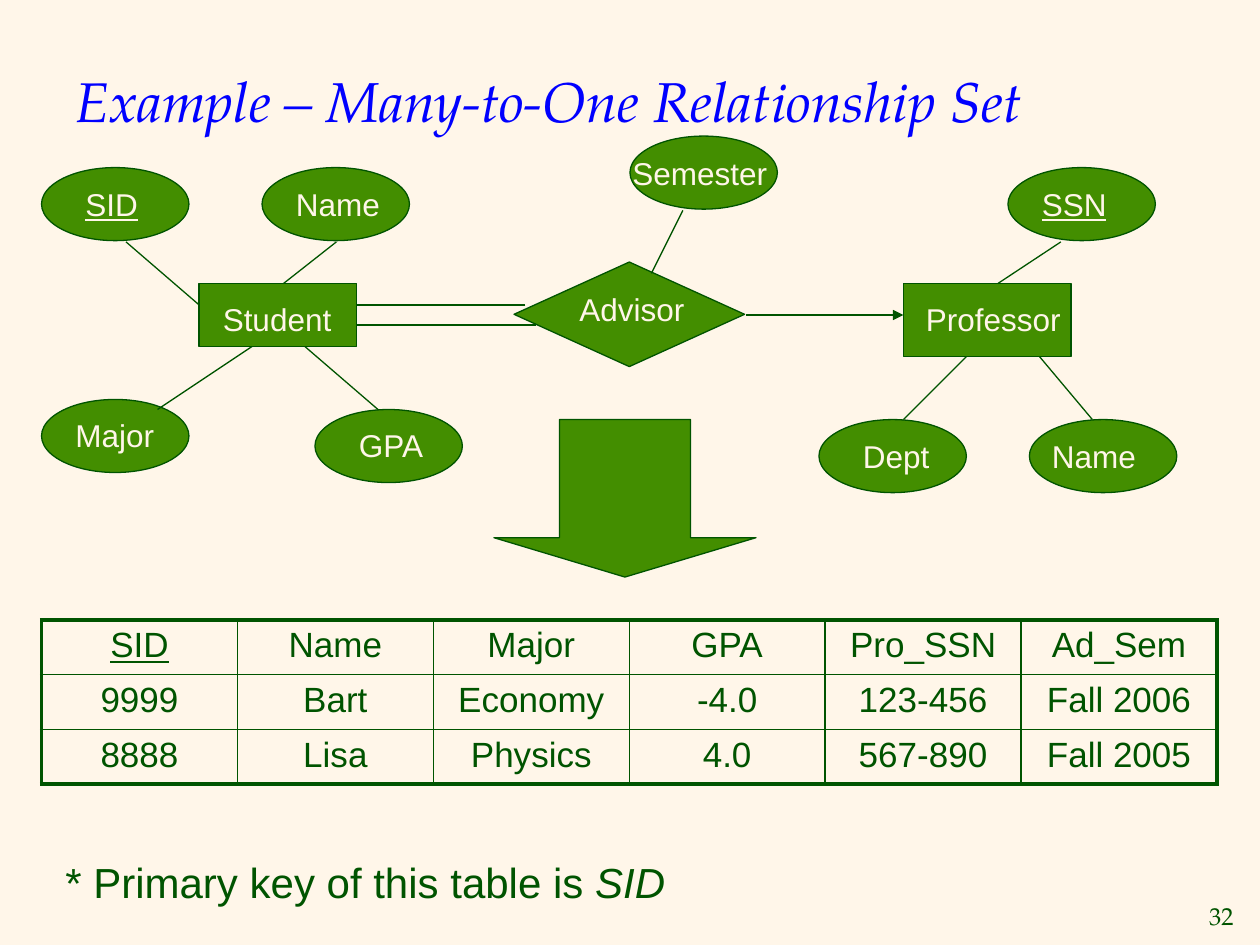
"""Build a slide that maps a many-to-one relationship set to a table."""
from dataclasses import dataclass

from lxml import etree
from pptx import Presentation
from pptx.dml.color import RGBColor
from pptx.enum.shapes import MSO_CONNECTOR, MSO_SHAPE
from pptx.enum.text import MSO_ANCHOR, PP_ALIGN
from pptx.oxml.ns import qn
from pptx.util import Inches, Pt

RECT, OVAL = MSO_SHAPE.RECTANGLE, MSO_SHAPE.OVAL
DIAMOND, DOWN_ARROW = MSO_SHAPE.FLOWCHART_DECISION, MSO_SHAPE.DOWN_ARROW
STRAIGHT = MSO_CONNECTOR.STRAIGHT
LEFT, CENTER, RIGHT = PP_ALIGN.LEFT, PP_ALIGN.CENTER, PP_ALIGN.RIGHT
MIDDLE = MSO_ANCHOR.MIDDLE


@dataclass(frozen=True)
class Theme:
    cream: RGBColor = RGBColor.from_string("FFF6E9")
    green: RGBColor = RGBColor.from_string("438E00")
    dark: RGBColor = RGBColor.from_string("005400")
    blue: RGBColor = RGBColor.from_string("0000FF")
    serif: str = "TeX Gyre Pagella"
    sans: str = "Arial"
    title: Pt = Pt(32)
    note: Pt = Pt(24)
    cell: Pt = Pt(20)
    label: Pt = Pt(18)
    number: Pt = Pt(14)
    line: Pt = Pt(0.75)
    inner: Pt = Pt(1)
    outer: Pt = Pt(2.25)


theme = Theme()


def add_run(p, text, size, color, font=theme.sans, underline=False, italic=False):
    r = p.add_run()
    r.text = text
    r.font.name, r.font.size = font, size
    r.font.color.rgb = color
    r.font.underline, r.font.italic = underline, italic


def add_box(x, y, w, h, align=LEFT):
    tf = s.shapes.add_textbox(Inches(x), Inches(y), Inches(w), Inches(h)).text_frame
    tf.word_wrap = True
    tf.paragraphs[0].alignment = align
    return tf


prs = Presentation()
prs.slide_width, prs.slide_height = Inches(10), Inches(7.5)
s = prs.slides.add_slide(prs.slide_layouts[5])
s.background.fill.solid()
s.background.fill.fore_color.rgb = theme.cream

title = s.shapes.title
title.left, title.top = Inches(0.5), Inches(0.17)
title.width, title.height = Inches(9), Inches(1.25)
tf = title.text_frame
tf.vertical_anchor = MIDDLE
p = tf.paragraphs[0]
p.alignment = LEFT
add_run(p, "Example – Many-to-One Relationship Set", theme.title, theme.blue,
        theme.serif, italic=True)

attributes = [
    (0.33, 1.33), (2.08, 1.33), (0.33, 3.17), (2.5, 3.25), (5, 1.08),
    (8, 1.33), (6.5, 3.33), (8.17, 3.33),
]
nodes = [(OVAL, x, y, 1.17, 0.58) for x, y in attributes] + [
    (RECT, 1.58, 2.25, 1.25, 0.5),
    (RECT, 7.17, 2.25, 1.33, 0.58),
    (DIAMOND, 4.08, 2.08, 1.83, 0.83),
    (DOWN_ARROW, 3.92, 3.33, 2.08, 1.25),
]
for kind, x, y, w, h in nodes:
    sp = s.shapes.add_shape(kind, Inches(x), Inches(y), Inches(w), Inches(h))
    sp.shadow.inherit = False
    sp.fill.solid()
    sp.fill.fore_color.rgb = theme.green
    sp.line.color.rgb = theme.dark
    sp.line.width = theme.line
    if kind == DOWN_ARROW:
        sp.adjustments[0], sp.adjustments[1] = 0.5, 0.25

links = [
    (1, 1.92, 1.58, 2.42, False),
    (2.67, 1.92, 2.25, 2.25, False),
    (3, 3.25, 2.42, 2.75, False),
    (1.25, 3.25, 2, 2.75, False),
    (8.42, 1.92, 7.92, 2.25, False),
    (5.17, 2.17, 5.42, 1.67, False),
    (8.25, 2.83, 8.67, 3.33, False),
    (7.67, 2.83, 7.17, 3.33, False),
    (4.17, 2.42, 2.83, 2.42, False),
    (2.83, 2.58, 4.25, 2.58, False),
    (5.92, 2.5, 7.17, 2.5, True),
]
for x1, y1, x2, y2, arrow in links:
    link = s.shapes.add_connector(STRAIGHT, Inches(x1), Inches(y1), Inches(x2), Inches(y2))
    link.line.color.rgb = theme.dark
    link.line.width = theme.line
    if arrow:
        etree.SubElement(link.line._get_or_add_ln(), qn("a:tailEnd"), type="triangle")
    etree.SubElement(link._element.spPr, qn("a:effectLst"))

labels = [
    ("SID", 0.58, 1.42, 0.83, True),
    ("Name", 2.25, 1.42, 0.92, False),
    ("Major", 0.5, 3.25, 0.85, False),
    ("GPA", 2.75, 3.33, 0.75, False),
    ("Student", 1.67, 2.33, 1.1, False),
    ("Semester", 4.92, 1.17, 1.42, False),
    ("Advisor", 4.5, 2.25, 1.42, False),
    ("SSN", 8.17, 1.42, 1.25, True),
    ("Professor", 7.25, 2.33, 1.42, False),
    ("Dept", 6.75, 3.42, 0.75, False),
    ("Name", 8.25, 3.42, 0.92, False),
]
for text, x, y, w, key in labels:
    tf = add_box(x, y, w, 0.4)
    add_run(tf.paragraphs[0], text, theme.label, theme.cream, underline=key)

rows = [
    ["SID", "Name", "Major", "GPA", "Pro_SSN", "Ad_Sem"],
    ["9999", "Bart", "Economy", "-4.0", "123-456", "Fall 2006"],
    ["8888", "Lisa", "Physics", "4.0", "567-890", "Fall 2005"],
]
last_row, last_col = len(rows) - 1, len(rows[0]) - 1
table = s.shapes.add_table(len(rows), len(rows[0]), Inches(0.33), Inches(4.92),
                           Inches(9.33), Inches(1.3)).table
table.first_row = table.horz_banding = False
for i, row in enumerate(rows):
    for j, text in enumerate(row):
        cell = table.cell(i, j)
        p = cell.text_frame.paragraphs[0]
        p.alignment = CENTER
        add_run(p, text, theme.cell, theme.dark, underline=(text == "SID"))
        if i == 1:
            cell.fill.solid()
            cell.fill.fore_color.rgb = theme.cream
        else:
            cell.fill.background()
        tcPr = cell._tc.get_or_add_tcPr()
        edges = [("L", j == 0), ("R", j == last_col), ("T", i == 0), ("B", i == last_row)]
        for k, (side, outside) in enumerate(edges):
            width = theme.outer if outside else theme.inner
            ln = etree.Element(qn(f"a:ln{side}"), w=str(int(width)))
            fill = etree.SubElement(ln, qn("a:solidFill"))
            etree.SubElement(fill, qn("a:srgbClr"), val=str(theme.dark))
            tcPr.insert(k, ln)

p = add_box(0.42, 6.75, 9.08, 0.46).paragraphs[0]
add_run(p, "* Primary key of this table is ", theme.note, theme.dark)
add_run(p, "SID", theme.note, theme.dark, italic=True)

tf = add_box(9.45, 7.1, 0.44, 0.33, RIGHT)
tf.word_wrap = False
tf.vertical_anchor = MIDDLE
add_run(tf.paragraphs[0], "32", theme.number, theme.dark, theme.serif)

prs.save("out.pptx")
